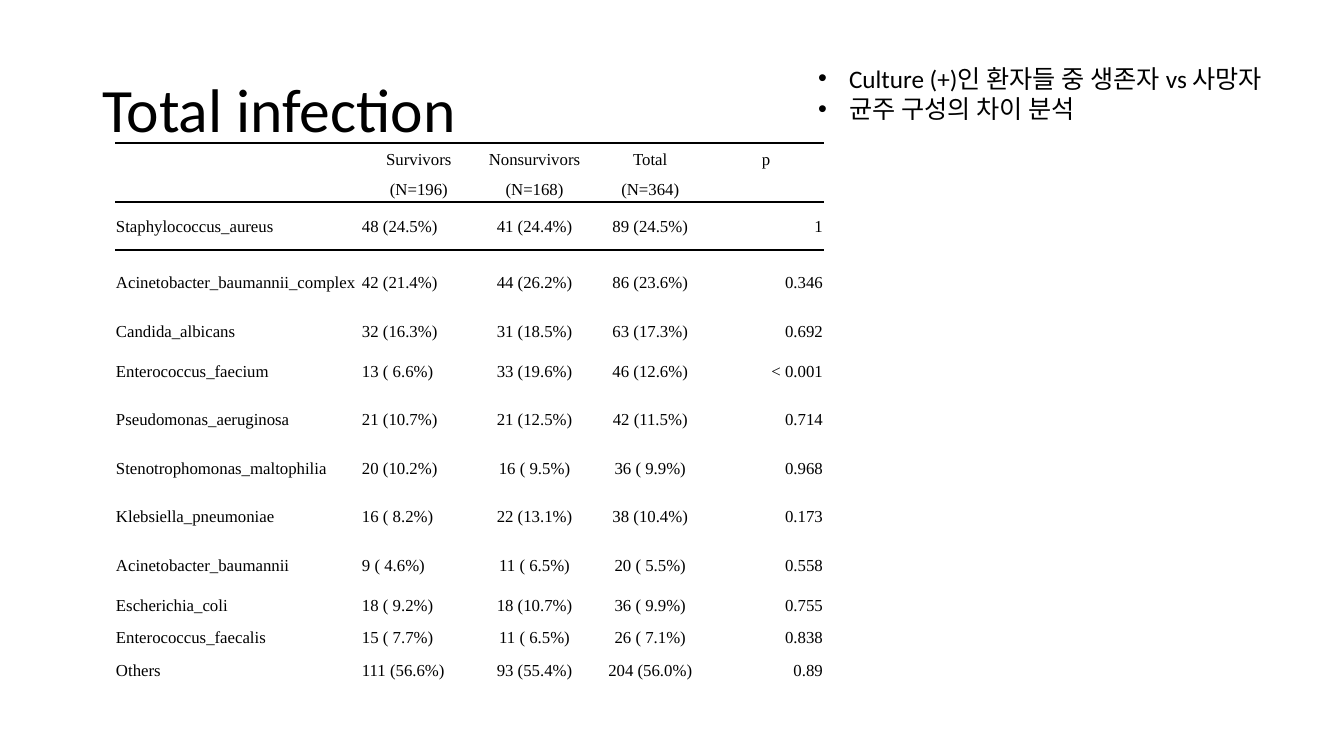
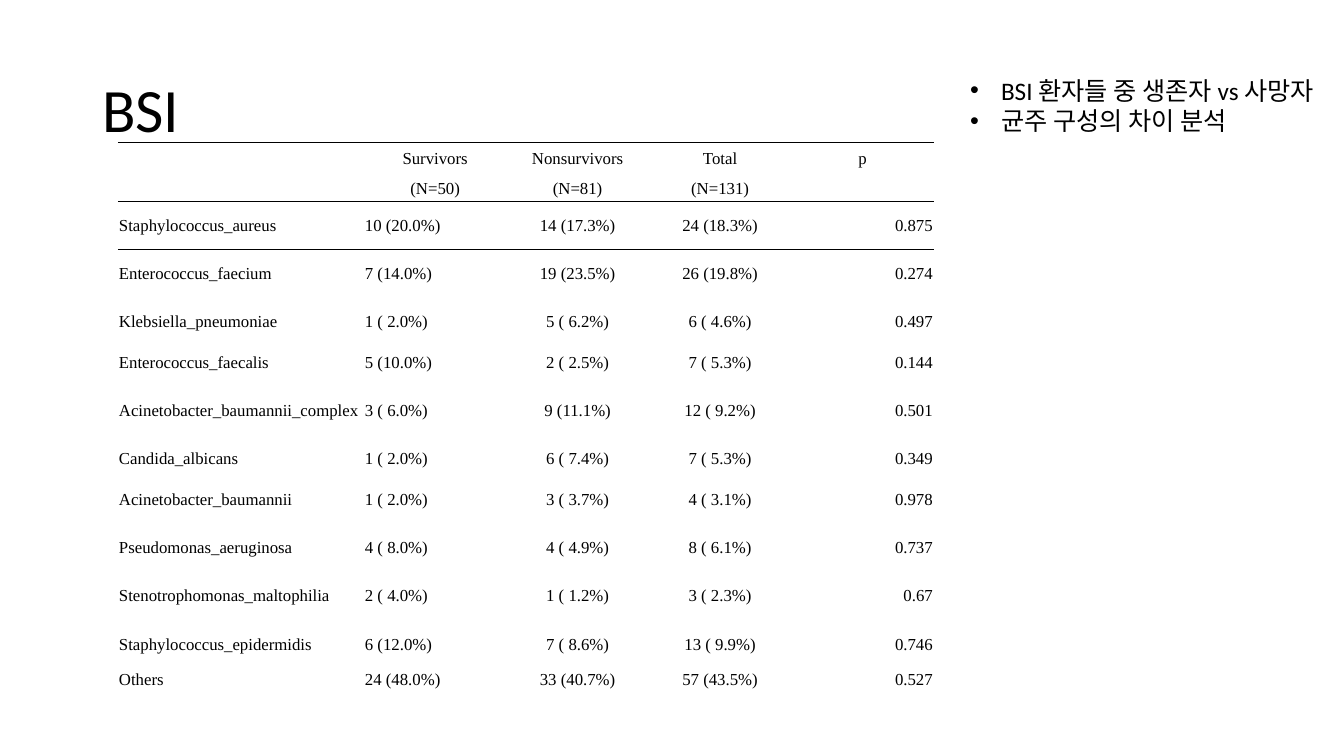
import pptx
import pptx.util
import pptx.dml.color
import pptx.enum.text
import pptx.oxml.ns
import lxml.etree

PX = 914400 / 100.8
COLORS = {"ink": "000000", "paper": "FFFFFF"}
HEADING_FONT = "Calibri"
TABLE_FONT = "Times New Roman"
TABLE_SIZE = 12
NAME_WIDTH = 246
NO_STYLE = "{2D5ABB26-0587-4C30-8999-92F81FD0307C}"
TITLE_BOX = (92, 40, 1160, 146)
ALIGN = pptx.enum.text.PP_ALIGN
MIDDLE = pptx.enum.text.MSO_ANCHOR.MIDDLE

TOTAL_INFECTION = {
    "title": "Total infection",
    "notes": ["Culture (+)인 환자들 중 생존자 vs 사망자", "균주 구성의 차이 분석"],
    "notes_box": (808, 58, 535, 72),
    "table_box": (115, 143, 709),
    "rule_width": 1,
    "heights": [33, 26, 48, 65, 32, 49, 48, 49, 48, 49, 32, 32, 33],
    "rows": [
        ("", "Survivors", "Nonsurvivors", "Total", "p"),
        ("", "(N=196)", "(N=168)", "(N=364)", ""),
        ("Staphylococcus_aureus", "48 (24.5%)", "41 (24.4%)", "89 (24.5%)", "1"),
        ("Acinetobacter_baumannii_complex", "42 (21.4%)", "44 (26.2%)", "86 (23.6%)", "0.346"),
        ("Candida_albicans", "32 (16.3%)", "31 (18.5%)", "63 (17.3%)", "0.692"),
        ("Enterococcus_faecium", "13 ( 6.6%)", "33 (19.6%)", "46 (12.6%)", "< 0.001"),
        ("Pseudomonas_aeruginosa", "21 (10.7%)", "21 (12.5%)", "42 (11.5%)", "0.714"),
        ("Stenotrophomonas_maltophilia", "20 (10.2%)", "16 ( 9.5%)", "36 ( 9.9%)", "0.968"),
        ("Klebsiella_pneumoniae", "16 ( 8.2%)", "22 (13.1%)", "38 (10.4%)", "0.173"),
        ("Acinetobacter_baumannii", "9 ( 4.6%)", "11 ( 6.5%)", "20 ( 5.5%)", "0.558"),
        ("Escherichia_coli", "18 ( 9.2%)", "18 (10.7%)", "36 ( 9.9%)", "0.755"),
        ("Enterococcus_faecalis", "15 ( 7.7%)", "11 ( 6.5%)", "26 ( 7.1%)", "0.838"),
        ("Others", "111 (56.6%)", "93 (55.4%)", "204 (56.0%)", "0.89"),
    ],
}

BSI = {
    "title": "BSI",
    "notes": ["BSI 환자들 중 생존자 vs 사망자", "균주 구성의 차이 분석"],
    "notes_box": (960, 70, 535, 72),
    "table_box": (118, 142, 816),
    "rule_width": 0.5,
    "heights": [33, 26, 48, 48, 49, 32, 65, 32, 49, 48, 48, 49, 20],
    "rows": [
        ("", "Survivors", "Nonsurvivors", "Total", "p"),
        ("", "(N=50)", "(N=81)", "(N=131)", ""),
        ("Staphylococcus_aureus", "10 (20.0%)", "14 (17.3%)", "24 (18.3%)", "0.875"),
        ("Enterococcus_faecium", "7 (14.0%)", "19 (23.5%)", "26 (19.8%)", "0.274"),
        ("Klebsiella_pneumoniae", "1 ( 2.0%)", "5 ( 6.2%)", "6 ( 4.6%)", "0.497"),
        ("Enterococcus_faecalis", "5 (10.0%)", "2 ( 2.5%)", "7 ( 5.3%)", "0.144"),
        ("Acinetobacter_baumannii_complex", "3 ( 6.0%)", "9 (11.1%)", "12 ( 9.2%)", "0.501"),
        ("Candida_albicans", "1 ( 2.0%)", "6 ( 7.4%)", "7 ( 5.3%)", "0.349"),
        ("Acinetobacter_baumannii", "1 ( 2.0%)", "3 ( 3.7%)", "4 ( 3.1%)", "0.978"),
        ("Pseudomonas_aeruginosa", "4 ( 8.0%)", "4 ( 4.9%)", "8 ( 6.1%)", "0.737"),
        ("Stenotrophomonas_maltophilia", "2 ( 4.0%)", "1 ( 1.2%)", "3 ( 2.3%)", "0.67"),
        ("Staphylococcus_epidermidis", "6 (12.0%)", "7 ( 8.6%)", "13 ( 9.9%)", "0.746"),
        ("Others", "24 (48.0%)", "33 (40.7%)", "57 (43.5%)", "0.527"),
    ],
}


def px(length):
    """Turn pixels into EMU."""
    return pptx.util.Emu(round(length * PX))


def rgb(key):
    """Look up a palette colour."""
    return pptx.dml.color.RGBColor.from_string(COLORS[key])


def add_child(parent, tag, **attributes):
    """Append a DrawingML element."""
    return lxml.etree.SubElement(parent, pptx.oxml.ns.qn(tag), attributes)


def add_run(paragraph, text, font, size):
    """Add one formatted run."""
    run = paragraph.add_run()
    run.text = text
    run.font.name = font
    run.font.size = pptx.util.Pt(size)
    run.font.bold = False
    run.font.color.rgb = rgb("ink")


def place(placeholder, box):
    """Move a placeholder to a pixel box."""
    placeholder.left, placeholder.top, placeholder.width, placeholder.height = map(px, box)


def write_title(title, text, box):
    """Fill the title placeholder."""
    place(title, box)
    title.text_frame.vertical_anchor = MIDDLE
    line = title.text_frame.paragraphs[0]
    line.alignment = ALIGN.LEFT
    line.line_spacing = 0.9
    add_run(line, text, HEADING_FONT, 44)


def write_notes(notes, lines, box):
    """Fill the body placeholder with a bulleted list."""
    place(notes, box)
    frame = notes.text_frame
    frame.word_wrap = True
    frame.auto_size = pptx.enum.text.MSO_AUTO_SIZE.SHAPE_TO_FIT_TEXT
    for index, text in enumerate(lines):
        line = frame.paragraphs[0] if index == 0 else frame.add_paragraph()
        line.space_before = pptx.util.Pt(0)
        properties = line._p.get_or_add_pPr()
        properties.set("marL", str(px(31)))
        properties.set("indent", str(-px(31)))
        add_child(properties, "a:buFont", typeface="Arial")
        add_child(properties, "a:buChar", char="•")
        add_run(line, text, HEADING_FONT, 18)


def rule_cell(cell, tag, width):
    """Draw one horizontal border of a cell."""
    properties = cell._tc.get_or_add_tcPr()
    border = add_child(properties, tag, w=str(pptx.util.Pt(width)))
    add_child(add_child(border, "a:solidFill"), "a:srgbClr", val=COLORS["ink"])
    properties.insert(0, border)


def write_cell(cell, text, alignment):
    """Format a cell and write its text."""
    cell.fill.background()
    cell.vertical_anchor = MIDDLE
    cell.margin_left = cell.margin_right = cell.margin_top = px(1)
    cell.margin_bottom = 0
    line = cell.text_frame.paragraphs[0]
    line.alignment = alignment
    if text:
        add_run(line, text, TABLE_FONT, TABLE_SIZE)
    else:
        add_child(line._p, "a:endParaRPr", sz=str(TABLE_SIZE * 100))


def add_strain_table(slide, rows, heights, box, rule_width):
    """Build the strain table with rules above and below its heading rows."""
    left, top, width = box
    frame = slide.shapes.add_table(
        len(rows), len(rows[0]), px(left), px(top), px(width), px(sum(heights)))
    table = frame.table
    table.first_row = table.horz_banding = False
    table._tbl.tblPr.find(pptx.oxml.ns.qn("a:tableStyleId")).text = NO_STYLE
    value_width = (width - NAME_WIDTH) / (len(rows[0]) - 1)
    for index, column in enumerate(table.columns):
        column.width = px(value_width if index else NAME_WIDTH)
    body_alignment = [ALIGN.LEFT, ALIGN.LEFT, ALIGN.CENTER, ALIGN.CENTER, ALIGN.RIGHT]
    rules = {0: "a:lnT", 1: "a:lnB", 2: "a:lnT"}
    for r, (texts, height) in enumerate(zip(rows, heights)):
        table.rows[r].height = px(height)
        for c, text in enumerate(texts):
            cell = table.cell(r, c)
            write_cell(cell, text, ALIGN.CENTER if r < 2 else body_alignment[c])
            if r in rules:
                rule_cell(cell, rules[r], rule_width)


def add_strain_slide(deck, content):
    """Add a slide with a title, a strain table and a list beside it."""
    slide = deck.slides.add_slide(deck.slide_layouts[1])
    write_title(slide.shapes.title, content["title"], TITLE_BOX)
    add_strain_table(slide, content["rows"], content["heights"],
                     content["table_box"], content["rule_width"])
    write_notes(slide.placeholders[1], content["notes"], content["notes_box"])


def main():
    """Build and save the deck."""
    deck = pptx.Presentation()
    deck.slide_width, deck.slide_height = px(1344), px(756)
    background = deck.slide_master.background.fill
    background.solid()
    background.fore_color.rgb = rgb("paper")
    for content in (TOTAL_INFECTION, BSI):
        add_strain_slide(deck, content)
    deck.save("out.pptx")


if __name__ == "__main__":
    main()
